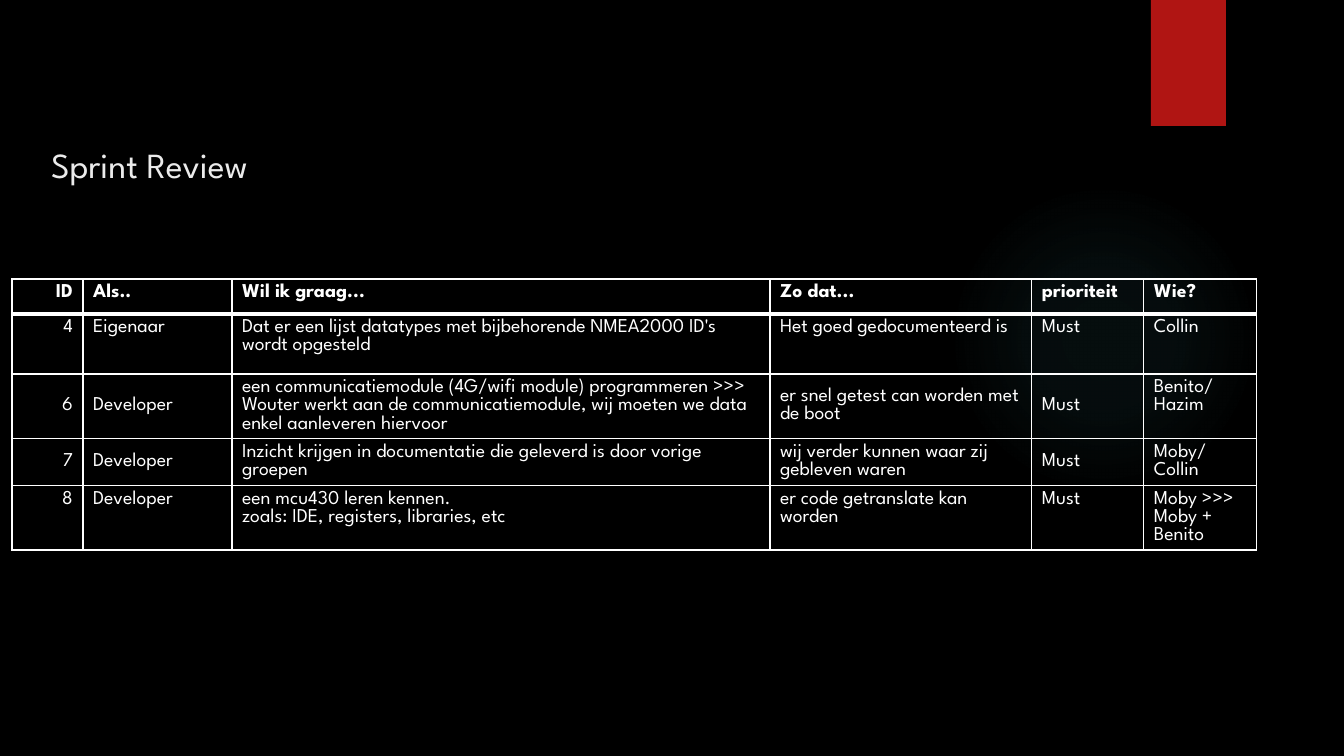
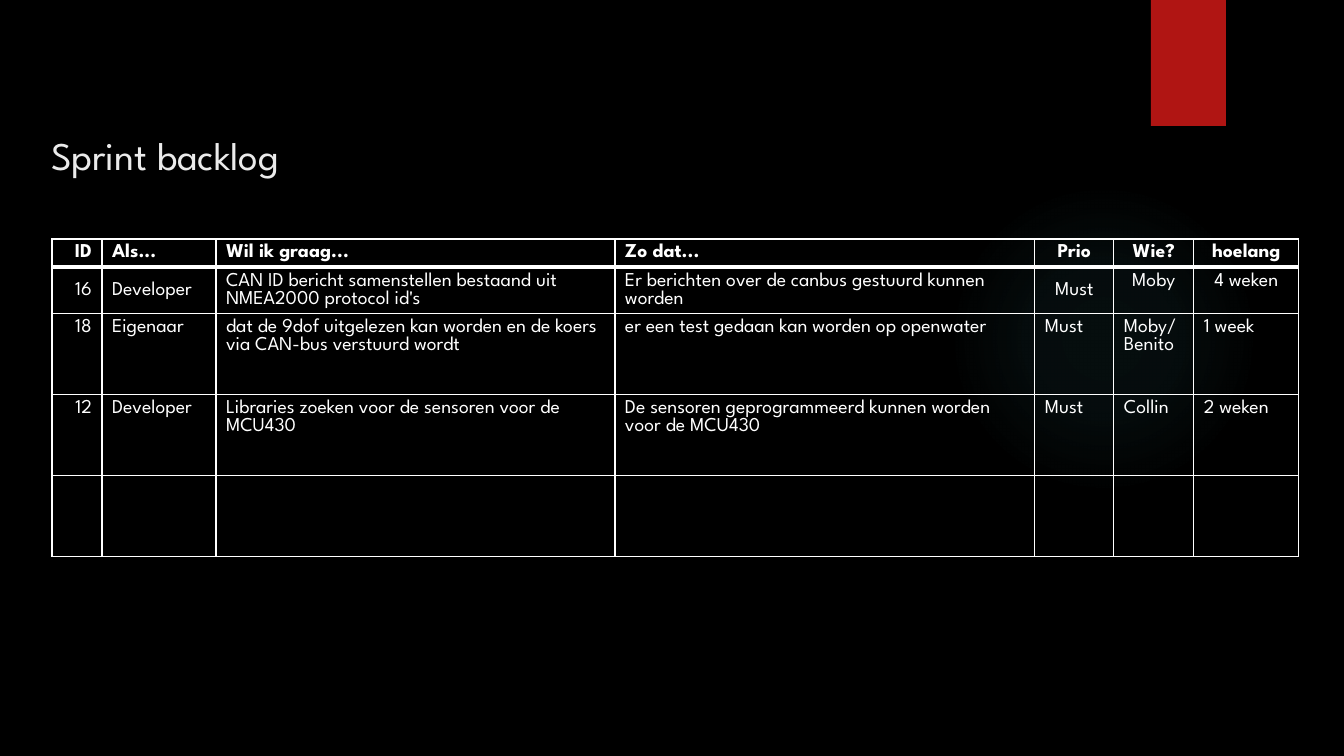
from lxml import etree
from pptx import Presentation
from pptx.dml.color import RGBColor
from pptx.enum.shapes import MSO_SHAPE
from pptx.enum.text import MSO_ANCHOR, MSO_AUTO_SIZE, PP_ALIGN
from pptx.oxml import parse_xml
from pptx.oxml.ns import nsdecls
from pptx.util import Emu, Pt

TOP, MIDDLE, BOTTOM = MSO_ANCHOR.TOP, MSO_ANCHOR.MIDDLE, MSO_ANCHOR.BOTTOM
LEFT, CENTER, RIGHT = PP_ALIGN.LEFT, PP_ALIGN.CENTER, PP_ALIGN.RIGHT
NO_AUTOFIT = MSO_AUTO_SIZE.NONE
OVAL, RECTANGLE = MSO_SHAPE.OVAL, MSO_SHAPE.RECTANGLE

EMU_PER_PX = 914400 / 100.8
FONT = "League Spartan"
COLORS = {
    "background": "000000",
    "ribbon": "B01513",
    "glow": "50B9C1",
    "title": "EBEBEB",
    "table": "FFFFFF",
}
GLOW_STOPS = ((0, 7), (36, 6), (69, 0))  # position and opacity in percent
THIN, THICK = 1, 3
TITLE_ONLY = 5

# Each row: height, columns anchored in the middle, centred columns, texts
REVIEW_COLUMNS = (71, 149, 538, 262, 112, 113)
REVIEW_ROWS = (
    (35, (), (), ("ID", "Als..", "Wil ik graag...", "Zo dat...", "prioriteit", "Wie?")),
    (60, (), (), ("4", "Eigenaar",
                  "Dat er een lijst datatypes met bijbehorende NMEA2000 ID's wordt opgesteld",
                  "Het goed gedocumenteerd is", "Must", "Collin")),
    (64, range(5), (), ("6", "Developer",
                        "een communicatiemodule (4G/wifi module) programmeren >>> "
                        "Wouter werkt aan de communicatiemodule, wij moeten we data "
                        "enkel aanleveren hiervoor",
                        "er snel getest can worden met de boot", "Must", "Benito/\nHazim")),
    (47, range(5), (), ("7", "Developer",
                        "Inzicht krijgen in documentatie die geleverd is door vorige groepen",
                        "wij verder kunnen waar zij gebleven waren", "Must", "Moby/\nCollin")),
    (64, (), (), ("8", "Developer",
                  "een mcu430 leren kennen.\nzoals: IDE, registers, libraries, etc",
                  "er code getranslate kan worden", "Must", "Moby >>> Moby + Benito")),
)

BACKLOG_COLUMNS = (50, 114, 399, 420, 79, 80, 105)
BACKLOG_ROWS = (
    (28, (), range(4, 7), ("ID", "Als...", "Wil ik graag...", "Zo dat...",
                           "Prio", "Wie?", "hoelang")),
    (46, range(5), range(4, 7), ("16", "Developer",
                                 "CAN ID bericht samenstellen bestaand uit NMEA2000 protocol id's",
                                 "Er berichten over de canbus gestuurd kunnen worden",
                                 "Must", "Moby", "4 weken")),
    (81, (), (), ("18", "Eigenaar",
                  "dat de 9dof uitgelezen kan worden en de koers via CAN-bus verstuurd wordt",
                  "er een test gedaan kan worden op openwater",
                  "Must", "Moby/Benito", "1 week")),
    (81, (), (), ("12", "Developer", "Libraries zoeken voor de sensoren voor de MCU430",
                  "De sensoren geprogrammeerd kunnen worden voor de MCU430",
                  "Must", "Collin", "2 weken")),
    (81, (), (), ("",) * 7),
)


def px(length):
    return Emu(round(length * EMU_PER_PX))


def rgb(role):
    return RGBColor.from_string(COLORS[role])


class Deck:
    def __init__(self):
        self.presentation = Presentation()
        self.presentation.slide_width = px(1344)
        self.presentation.slide_height = px(756)
        self.layout = self.presentation.slide_layouts[TITLE_ONLY]
        backdrop = self.presentation.slide_master.background.fill
        backdrop.solid()
        backdrop.fore_color.rgb = rgb("background")
        heading = self.layout.placeholders[0]
        heading.left, heading.top, heading.width, heading.height = map(px, (41, 128, 379, 124))
        self.slide = None

    def add_slide(self, title, size):
        first = self.slide is None
        self.slide = self.presentation.slides.add_slide(self.layout)
        if first:
            self.decorate_layout()
        frame = self.slide.shapes.title.text_frame
        frame.auto_size = NO_AUTOFIT
        frame.vertical_anchor = BOTTOM
        frame.margin_bottom = px(2.63 * size)  # keeps nearly two lines free below
        frame.paragraphs[0].alignment = LEFT
        self.add_run(frame.paragraphs[0], title, size, "title")

    def decorate_layout(self):
        """Draw the shared shapes on the slide, then move them to its layout."""
        glow = self.add_block(OVAL, (949, 184, 310, 310), "glow")
        self.fade(glow)
        ribbon = self.add_block(RECTANGLE, (1151, 0, 75, 126), "ribbon")
        tree = self.layout.shapes.element
        for offset, block in enumerate((glow, ribbon)):
            block.element.nvSpPr.cNvPr.set("id", str(100 + offset))
            tree.insert(2 + offset, block.element)

    def add_block(self, kind, box, color):
        block = self.slide.shapes.add_shape(kind, *map(px, box))
        block.shadow.inherit = False
        block.fill.solid()
        block.fill.fore_color.rgb = rgb(color)
        block.line.fill.background()
        return block

    def fade(self, block):
        """Replace the solid fill with a transparent radial gradient."""
        stops = "".join(
            f'<a:gs pos="{position * 1000}"><a:srgbClr val="{COLORS["glow"]}">'
            f'<a:alpha val="{opacity * 1000}"/></a:srgbClr></a:gs>'
            for position, opacity in GLOW_STOPS)
        gradient = parse_xml(
            f'<a:gradFill {nsdecls("a")} rotWithShape="1"><a:gsLst>{stops}</a:gsLst>'
            '<a:path path="circle"><a:fillToRect l="50000" t="50000" r="50000" b="50000"/>'
            '</a:path></a:gradFill>')
        solid = block.element.spPr.find("{*}solidFill")
        solid.getparent().replace(solid, gradient)

    def add_run(self, paragraph, text, size, color, bold=False):
        run = paragraph.add_run()
        run.text = text
        run.font.name = FONT
        run.font.size = Pt(size)
        run.font.bold = bold
        run.font.color.rgb = rgb(color)

    def add_table(self, left, top, widths, rows):
        heights = [row[0] for row in rows]
        table = self.slide.shapes.add_table(
            len(rows), len(widths), px(left), px(top), px(sum(widths)), px(sum(heights))).table
        table.first_row = table.horz_banding = False
        for column, width in zip(table.columns, widths):
            column.width = px(width)
        for r, (height, middle, centred, texts) in enumerate(rows):
            table.rows[r].height = px(height)
            for c, text in enumerate(texts):
                cell = table.cell(r, c)
                self.style_cell(cell, r)
                cell.vertical_anchor = MIDDLE if c in middle else TOP
                alignment = RIGHT if c == 0 else CENTER if c in centred else LEFT
                self.fill_cell(cell, text, alignment, bold=r == 0)

    def style_cell(self, cell, row):
        """Draw the cell borders, with a thick rule below the header row."""
        properties = cell._tc.get_or_add_tcPr()
        widths = {"L": THIN, "R": THIN,
                  "T": THICK if row == 1 else THIN,
                  "B": THICK if row == 0 else THIN}
        for side, width in widths.items():
            etree.SubElement(properties, "{http://schemas.openxmlformats.org/drawingml/2006/main}ln" + side,
                             w=str(Pt(width))).append(parse_xml(
                                 f'<a:solidFill {nsdecls("a")}>'
                                 f'<a:srgbClr val="{COLORS["table"]}"/></a:solidFill>'))
        cell.fill.background()

    def fill_cell(self, cell, text, alignment, bold):
        if not text:
            return
        frame = cell.text_frame
        for index, line in enumerate(text.split("\n")):
            paragraph = frame.add_paragraph() if index else frame.paragraphs[0]
            paragraph.alignment = alignment
            self.add_run(paragraph, line, 14, "table", bold)


def main():
    deck = Deck()
    deck.add_slide("Sprint Review", 25.2)
    deck.add_table(12, 279, REVIEW_COLUMNS, REVIEW_ROWS)
    deck.add_slide("Sprint backlog", 28)
    deck.add_table(52, 239, BACKLOG_COLUMNS, BACKLOG_ROWS)
    deck.presentation.save("out.pptx")


if __name__ == "__main__":
    main()
